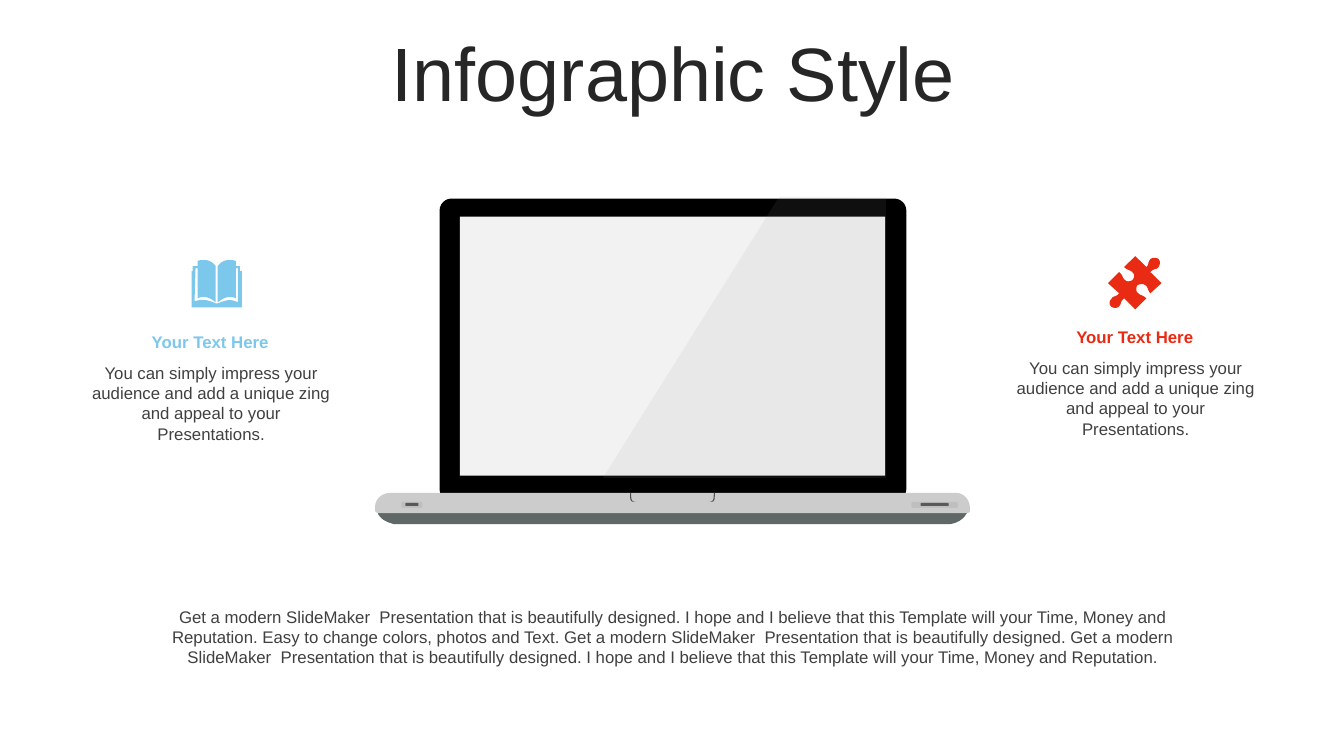
from pptx import Presentation
from pptx.dml.color import RGBColor
from pptx.enum.shapes import MSO_SHAPE
from pptx.enum.text import MSO_ANCHOR, PP_ALIGN
from pptx.oxml.ns import qn
from pptx.util import Inches, Pt
from lxml.etree import SubElement

THEME = dict(
    font="Arial", title=54, body=12, ink="262626", text="404040",
    blue="7CC8EC", red="EA2B13", lid="000000", screen="F2F2F2",
    deck="CCCCCC", base="5F6767", notch="4D4D4D", port="BFBFBF",
    slot="595959", glare="999999")
WIDE, HIGH = 13.33, 7.5
MID = 6.67  # centre line of the laptop
STEPS = 8   # straight pieces in one curve

deck = Presentation()
deck.slide_width, deck.slide_height = Inches(WIDE), Inches(HIGH)
slide = deck.slides.add_slide(deck.slide_layouts[6])


def paint(shape, tint):
    shape.shadow.inherit = False
    shape.fill.solid()
    shape.fill.fore_color.rgb = RGBColor.from_string(THEME[tint])
    shape.line.fill.background()
    return shape


def trace(path, tint):
    """Fill an outline: a pair is a corner, six numbers are a Bezier curve."""
    spots = [path[0]]
    for part in path[1:]:
        if len(part) == 2:
            spots.append(part)
            continue
        ax, ay = spots[-1]
        bx, by, cx, cy, dx, dy = part
        for step in range(1, STEPS + 1):
            t = step / STEPS
            s = 1 - t
            spots.append((
                s**3 * ax + 3 * s * s * t * bx + 3 * s * t * t * cx + t**3 * dx,
                s**3 * ay + 3 * s * s * t * by + 3 * s * t * t * cy + t**3 * dy))
    spots = [(x * 1000, y * 1000) for x, y in spots]
    pen = slide.shapes.build_freeform(*spots[0], scale=Inches(1) / 1000)
    pen.add_line_segments(spots[1:], close=True)
    return paint(pen.convert_to_shape(), tint)


# Laptop base
trace([(9.42, 5.2), (9.42, 5.2, 9.54, 5.19, 9.59, 5.09),
       (9.59, 5.06, 9.56, 5.03, 9.53, 5.03), (3.81, 5.05),
       (3.78, 5.05, 3.75, 5.07, 3.75, 5.1),
       (3.79, 5.17, 3.87, 5.19, 3.91, 5.2)], "base")

# Lid and screen
for kind, x, y, w, h, tint in [
        (MSO_SHAPE.ROUNDED_RECTANGLE, 4.36, 1.97, 4.63, 3, "lid"),
        (MSO_SHAPE.RECTANGLE, 4.56, 2.15, 4.22, 2.57, "screen")]:
    box = slide.shapes.add_shape(kind, *map(Inches, (x, y, w, h)))
    paint(box, tint)
    if tint == "lid":
        box.adjustments[0] = 0.04

# Deck with its notch
trace([(3.87, 4.89), (9.48, 4.89), (9.56, 4.89, 9.62, 4.96, 9.62, 5.04),
       (9.62, 5.07), (9.62, 5.07, 9.63, 5.09, 9.57, 5.09), (3.77, 5.09),
       (3.75, 5.09, 3.72, 5.09, 3.72, 5.06), (3.72, 5.03),
       (3.72, 4.95, 3.79, 4.89, 3.87, 4.89)], "deck")
for side in (-1, 1):
    out, rim, low = (MID + side * gap for gap in (0.42, 0.41, 0.36))
    trace([(out, 4.89), (out, 4.97, out, 4.98, low, 4.98),
           (rim, 4.98, rim, 4.95, rim, 4.89)], "notch")

# Ports, each with a slot inside
for x, w, inset in [(3.98, 0.21, 0.04), (9.04, 0.46, 0.09)]:
    for left, top, span, tall, tint in [
            (x, 4.98, w, 0.06, "port"),
            (x + inset, 4.99, w - 2 * inset, 0.03, "slot")]:
        bar = slide.shapes.add_shape(
            MSO_SHAPE.ROUNDED_RECTANGLE, *map(Inches, (left, top, span, tall)))
        paint(bar, tint).adjustments[0] = 0.28

# Glare across the screen
glare = trace([(7.73, 1.95), (8.79, 1.96), (8.79, 4.74), (5.98, 4.74)], "glare")
tone = glare.element.spPr.find(qn("a:solidFill")).find(qn("a:srgbClr"))
SubElement(tone, qn("a:alpha")).set("val", "10000")

# Puzzle icon
trace([(11.49, 2.57), (11.51, 2.59, 11.51, 2.62, 11.49, 2.65),
       (11.47, 2.68, 11.44, 2.66, 11.41, 2.7), (11.52, 2.81), (11.41, 2.91),
       (11.38, 2.88, 11.39, 2.85, 11.36, 2.83),
       (11.34, 2.81, 11.3, 2.82, 11.28, 2.83),
       (11.27, 2.85, 11.26, 2.89, 11.29, 2.91),
       (11.32, 2.94, 11.33, 2.92, 11.37, 2.96), (11.26, 3.07), (11.15, 2.96),
       (11.11, 2.99, 11.13, 3, 11.1, 3.04),
       (11.08, 3.06, 11.04, 3.06, 11.02, 3.04),
       (11, 3.02, 11, 2.99, 11.02, 2.97),
       (11.04, 2.93, 11.07, 2.95, 11.1, 2.91), (10.99, 2.81), (11.1, 2.7),
       (11.14, 2.73, 11.13, 2.76, 11.16, 2.78),
       (11.18, 2.8, 11.21, 2.79, 11.23, 2.78),
       (11.25, 2.76, 11.26, 2.72, 11.23, 2.7),
       (11.2, 2.67, 11.19, 2.69, 11.15, 2.65), (11.26, 2.54), (11.37, 2.65),
       (11.4, 2.62, 11.38, 2.61, 11.41, 2.57),
       (11.44, 2.55, 11.48, 2.56, 11.49, 2.57)], "red")

# Book icon
trace([(2.14, 3.01), (2.16, 3.01), (2.24, 2.98, 2.28, 2.96, 2.36, 3),
       (2.36, 2.66), (2.34, 2.66), (2.34, 2.96),
       (2.28, 2.93, 2.22, 2.95, 2.16, 3), (2.16, 2.64),
       (2.19, 2.6, 2.23, 2.58, 2.27, 2.58),
       (2.29, 2.58, 2.31, 2.58, 2.34, 2.59), (2.34, 2.64), (2.38, 2.64),
       (2.38, 2.69), (2.4, 2.69), (2.4, 3.05), (1.9, 3.05), (1.9, 2.69),
       (1.91, 2.69), (1.91, 2.64), (1.96, 2.64), (1.96, 2.59),
       (1.98, 2.58, 2.01, 2.58, 2.03, 2.58),
       (2.07, 2.58, 2.11, 2.6, 2.14, 2.64), (2.14, 3),
       (2.08, 2.95, 2.02, 2.93, 1.96, 2.96), (1.96, 2.66), (1.94, 2.66),
       (1.93, 2.99), (2.02, 2.96, 2.07, 2.98, 2.14, 3.01)], "blue")

# Title, side notes and closing text
HEAD = "Your Text Here"
NOTE = ("You can simply impress your audience and add a unique zing "
        "and appeal to your Presentations.")
PITCH = "Get a modern SlideMaker  Presentation that is beautifully designed. "
HOPE = ("I hope and I believe that this Template will your Time, "
        "Money and Reputation.")
CLOSE = (PITCH + HOPE + " Easy to change colors, photos and Text. "
         + PITCH * 2 + HOPE)
words = [("Infographic Style", 0.35, 0.37, 12.66, 0.79, "title", "ink"),
         (CLOSE, 1.55, 5.97, 10.26, 0.71, "body", "text")]
for x, y, tint in [(0.78, 3.24, "blue"), (9.95, 3.19, "red")]:
    words += [(HEAD, x, y, 2.61, 0.3, "body", tint),
              (NOTE, x, y + 0.31, 2.63, 0.91, "body", "text")]
for text, x, y, w, h, size, tint in words:
    frame = slide.shapes.add_textbox(*map(Inches, (x, y, w, h))).text_frame
    frame.word_wrap = True
    line = frame.paragraphs[0]
    line.text = text
    line.alignment = PP_ALIGN.CENTER
    line.font.name = THEME["font"]
    line.font.size = Pt(THEME[size])
    line.font.bold = text == HEAD
    line.font.color.rgb = RGBColor.from_string(THEME[tint])
    if size == "title":
        frame.vertical_anchor = MSO_ANCHOR.MIDDLE
        line.line_spacing = 0.9

deck.save("out.pptx")
